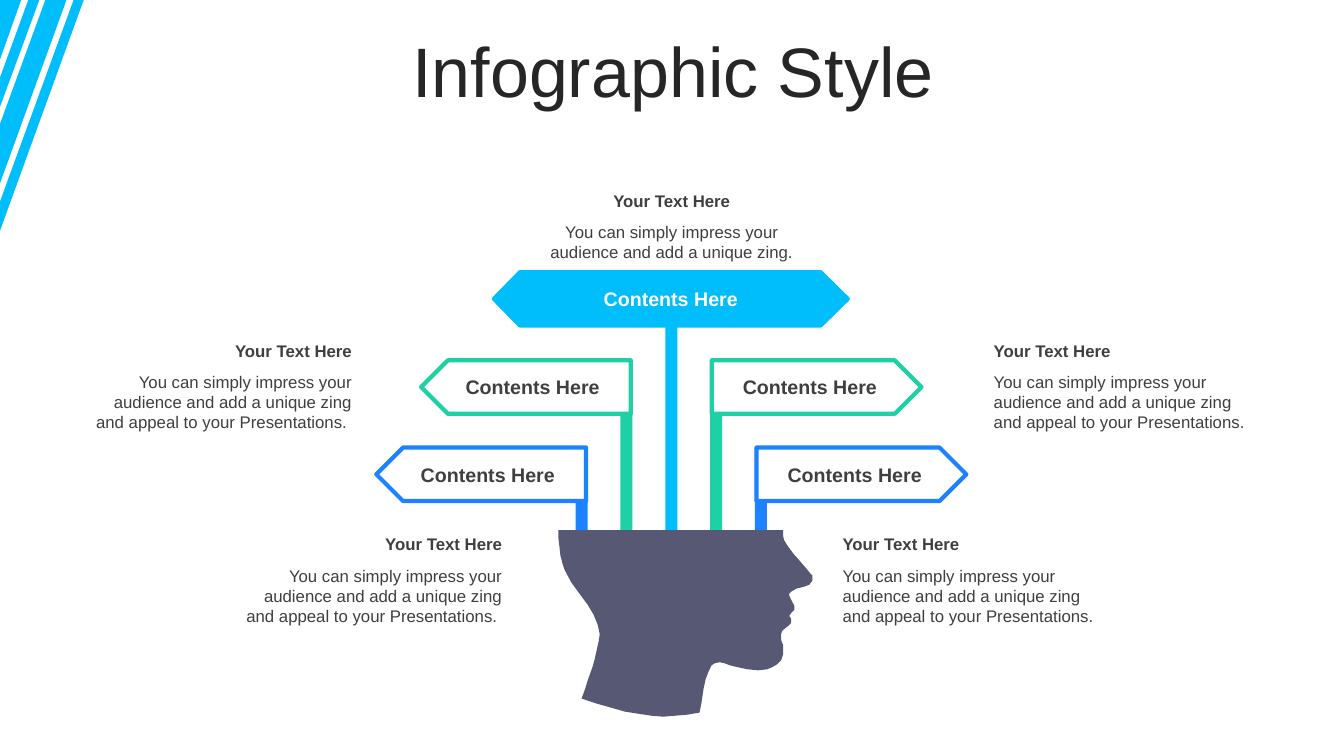
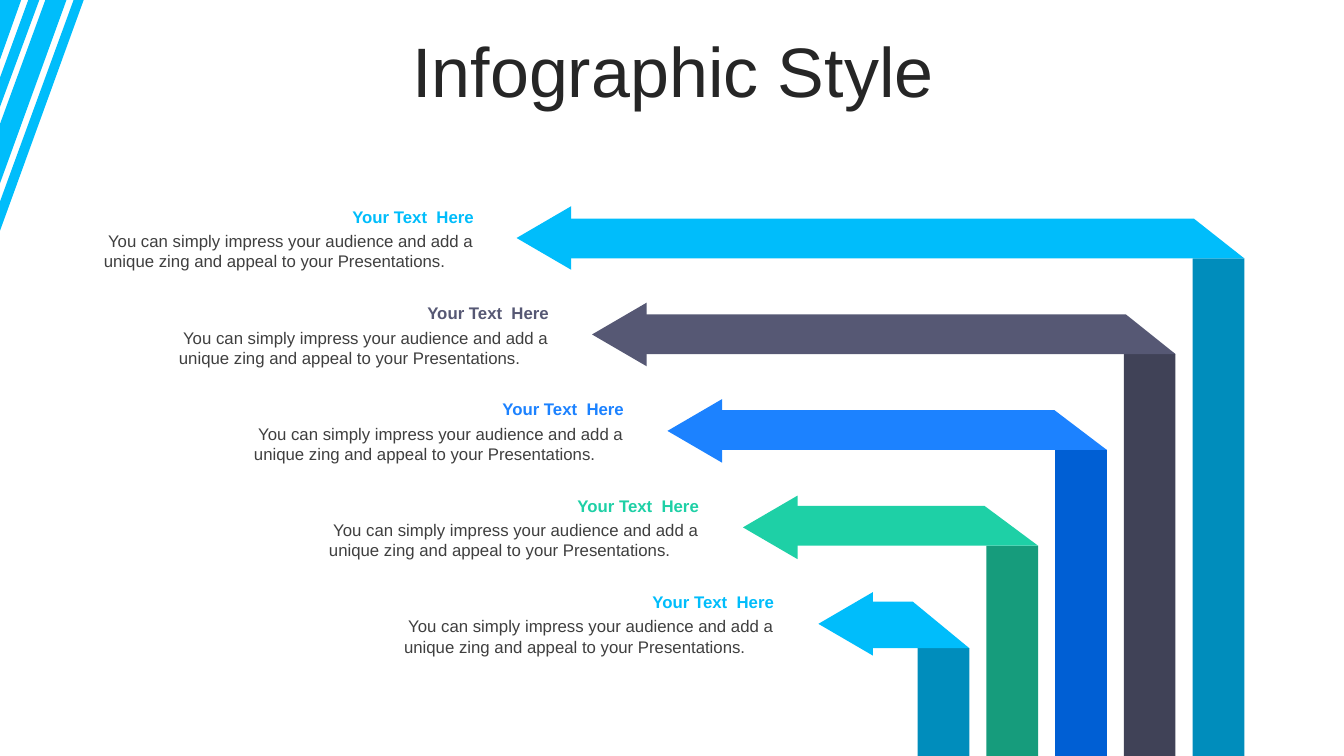
from pptx import Presentation
from pptx.dml.color import RGBColor
from pptx.enum.shapes import MSO_SHAPE
from pptx.enum.text import MSO_ANCHOR, PP_ALIGN
from pptx.util import Pt

FONT = "Arial"
COLORS = {
    "cyan": "00BDFB", "dark_cyan": "008DBC",
    "green": "1ED0A6", "dark_green": "169C7C",
    "blue": "1C82FF", "dark_blue": "005FD4",
    "slate": "565874", "dark_slate": "404257",
    "title": "262626", "text": "3F3F3F", "white": "FFFFFF",
}
STRIPES = [
    [(0, 0), (15.1, 0), (0, 42.5)],
    [(20.2, 0), (28.1, 0), (0, 76.3), (0, 55.4)],
    [(32.4, 0), (47.5, 0), (0, 131), (0, 88.6)],
    [(52.6, 0), (59.8, 0), (0, 164.9), (0, 144)],
]
HEAD = [
    (398.9, 378.7), (559.4, 378.7), (559.4, 383), (560.2, 385.9), (562.3, 389.5),
    (566.6, 395.3), (571, 400.3), (576, 406.1), (578.9, 409.7), (580.3, 411.1),
    (580.3, 414.7), (578.2, 417.6), (574.6, 419), (568.8, 420.5), (565.2, 422.6),
    (563.8, 424.1), (563.8, 425.5), (565.2, 428.4), (567.4, 432.7), (567.4, 435.6),
    (565.2, 437.8), (563.8, 439.9), (565.2, 442.1), (565.2, 445), (563, 447.1),
    (560.2, 449.3), (558.7, 450.7), (558, 452.9), (558, 457.2), (559.4, 460.8),
    (559.4, 467.3), (558, 471.6), (555.1, 474.5), (551.5, 476.6), (547.9, 478.1),
    (541.4, 478.8), (534.2, 478.1), (527, 476.6), (521.3, 475.2), (517.7, 473.8),
    (514.1, 473), (510.5, 473.8), (508.3, 475.2), (506.2, 479.5), (504, 485.3),
    (502.6, 491.8), (501.1, 501.8), (499.7, 509), (491, 510.5), (482.4, 511.2),
    (473.8, 511.9), (465.1, 511.2), (455.8, 509.8), (446.4, 508.3), (436.3, 505.4),
    (426.2, 502.6), (415.4, 499), (417.6, 493.2), (419.8, 486), (421.9, 480.2),
    (423.4, 475.9), (424.8, 470.9), (426.2, 464.4), (427.7, 457.9), (428.4, 452.9),
    (427, 446.4), (424.1, 439.2), (419.8, 432), (414, 424.1), (408.2, 416.2),
    (403.2, 406.8), (401.8, 402.5), (400.3, 396.7), (399.6, 390.2), (398.9, 384.5),
]
SHORT_BODY = "You can simply impress your audience and add a unique zing"
LONG_BODY = SHORT_BODY + " and appeal to your Presentations."


def rgb(name):
    return RGBColor.from_string(COLORS[name])


def write_text(frame, text, size=12, color="text", bold=False, align=PP_ALIGN.LEFT,
               line_spacing=None, space_after=0, indent=0, first_indent=0):
    paragraph = frame.add_paragraph() if frame.text else frame.paragraphs[0]
    paragraph.alignment = align
    paragraph.line_spacing = line_spacing
    paragraph.space_after = Pt(space_after)
    if indent:
        properties = paragraph._p.get_or_add_pPr()
        properties.set("marL", str(Pt(indent)))
        properties.set("indent", str(Pt(first_indent)))
    run = paragraph.add_run()
    run.text = text
    run.font.name = FONT
    run.font.size = Pt(size)
    run.font.bold = bold
    run.font.color.rgb = rgb(color)


class Deck:
    def __init__(self):
        self.presentation = Presentation()
        self.presentation.slide_width = Pt(960)
        self.presentation.slide_height = Pt(540)
        self.slide = None

    def new_slide(self, title):
        self.slide = self.presentation.slides.add_slide(self.presentation.slide_layouts[6])
        for stripe in STRIPES:
            self.outline(stripe, "cyan")
        frame = self.text_box(25.2, 26.6, 911.5, 56.9)
        frame.vertical_anchor = MSO_ANCHOR.MIDDLE
        write_text(frame, title, size=50, color="title", align=PP_ALIGN.CENTER,
                   line_spacing=0.8)

    def paint(self, shape, fill, line=None):
        shape.shadow.inherit = False
        shape.fill.solid()
        shape.fill.fore_color.rgb = rgb(fill)
        if line:
            shape.line.color.rgb = rgb(line)
            shape.line.width = Pt(3)
        else:
            shape.line.fill.background()
        return shape

    def preset(self, kind, left, top, width, height, fill, line=None):
        shape = self.slide.shapes.add_shape(kind, Pt(left), Pt(top), Pt(width), Pt(height))
        return self.paint(shape, fill, line)

    def outline(self, points, fill, line=None):
        vertices = [(Pt(x), Pt(y)) for x, y in points]
        builder = self.slide.shapes.build_freeform(*vertices[0])
        builder.add_line_segments(vertices[1:], close=True)
        return self.paint(builder.convert_to_shape(), fill, line)

    def text_box(self, left, top, width, height):
        box = self.slide.shapes.add_textbox(Pt(left), Pt(top), Pt(width), Pt(height))
        box.text_frame.word_wrap = True
        return box.text_frame

    def label(self, shape, color="text"):
        shape.text_frame.vertical_anchor = MSO_ANCHOR.MIDDLE
        write_text(shape.text_frame, "Contents Here", size=14, color=color, bold=True,
                   align=PP_ALIGN.CENTER)

    def plate(self, left, top, color, points_left):
        shape = self.preset(MSO_SHAPE.PENTAGON, left, top, 149.8, 38.2, "white", color)
        if points_left:
            shape._element.spPr.xfrm.set("flipH", "1")
        self.label(shape)

    def caption(self, left, top, body, align):
        frame = self.text_box(left, top, 200.9, 72.7)
        write_text(frame, "Your Text Here", bold=True, align=align, space_after=7.8)
        write_text(frame, body, align=align)

    def arrow_caption(self, left, top, color):
        frame = self.text_box(left, top, 298.8, 52.8)
        write_text(frame, "Your Text  Here", color=color, bold=True,
                   align=PP_ALIGN.RIGHT, space_after=3)
        write_text(frame, LONG_BODY, indent=20.3, first_indent=3)

    def folded_arrow(self, tip, top, middle, pillar, thickness, fold, color, shade):
        bottom = top + thickness
        right = pillar + 37
        self.preset(MSO_SHAPE.RECTANGLE, pillar, bottom, 37, 540 - bottom, shade)
        self.outline([(tip + 38, top), (right - fold, top), (right, bottom),
                      (tip + 38, bottom)], color)
        width, height = 45.4, 39
        head = self.preset(MSO_SHAPE.ISOSCELES_TRIANGLE, tip + height / 2 - width / 2,
                           middle - height / 2, width, height, color)
        head.rotation = 270


def build_head_slide(deck):
    deck.new_slide("Infographic Style")
    post_width, post_bottom, inset = 8.6, 393.5, 1.2
    post_lefts = [475.2 + 32 * step for step in range(-2, 3)]
    posts = list(zip(post_lefts, [319.7, 257.4, 231.8, 257.4, 319.7],
                     ["blue", "green", "cyan", "green", "blue"]))
    for left, top, color in posts:
        deck.preset(MSO_SHAPE.RECTANGLE, left, top, post_width, post_bottom - top, color)
    deck.outline(HEAD, "slate")
    for index, (left, top, color) in enumerate(posts):
        if index < 2:
            deck.plate(left + post_width - inset - 149.8, top, color, True)
        elif index > 2:
            deck.plate(left + inset, top, color, False)
    sign = deck.outline([(371.5, 194.4), (586.1, 194.4), (605.5, 213.5), (586.1, 232.6),
                         (371.5, 232.6), (352.8, 213.5)], "cyan", "cyan")
    deck.label(sign, "white")
    for left, top, body, align in [
        (379.4, 132.5, SHORT_BODY + ".", PP_ALIGN.CENTER),
        (57.6, 239.8, LONG_BODY + " ", PP_ALIGN.RIGHT),
        (164.9, 378, LONG_BODY + " ", PP_ALIGN.RIGHT),
        (702.7, 239.8, LONG_BODY, PP_ALIGN.LEFT),
        (594.7, 378, LONG_BODY, PP_ALIGN.LEFT),
    ]:
        deck.caption(left, top, body, align)


def build_arrow_slide(deck):
    deck.new_slide("Infographic Style")
    arrows = [
        ("cyan", 28.4, 36), ("slate", 28.4, 35.5), ("blue", 28.4, 37.4),
        ("green", 28.4, 38.2), ("cyan", 33.2, 40.3),
    ]
    for row, (color, thickness, fold) in enumerate(arrows):
        deck.folded_arrow(369 + 53.9 * row, 156.2 + 68.4 * row, 170 + 68.9 * row,
                          851.8 - 49.1 * row, thickness, fold, color, "dark_" + color)
        deck.arrow_caption(46.8 + 53.6 * row, 144 + 68.8 * row, color)


def main():
    deck = Deck()
    build_head_slide(deck)
    build_arrow_slide(deck)
    deck.presentation.save("out.pptx")


if __name__ == "__main__":
    main()
